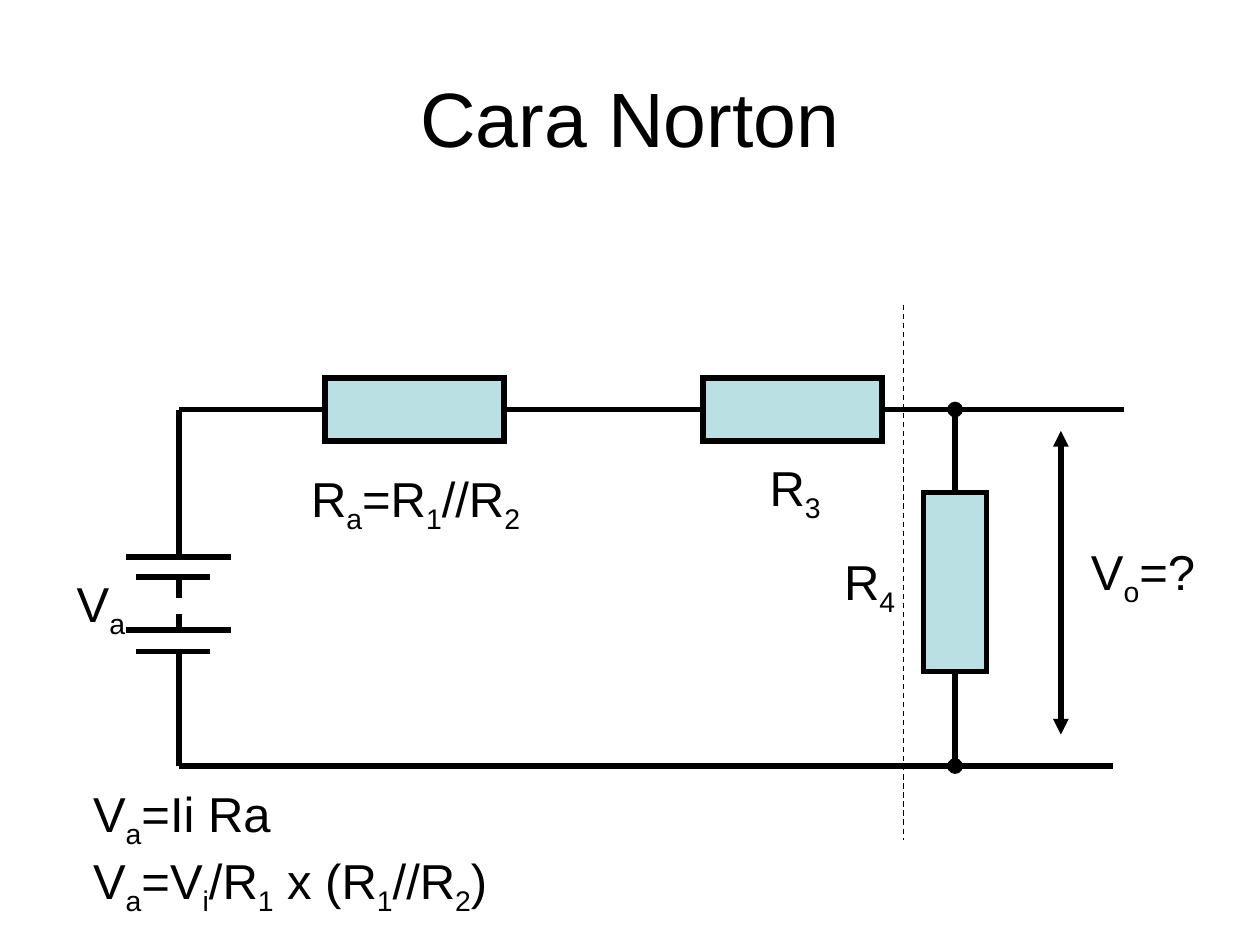
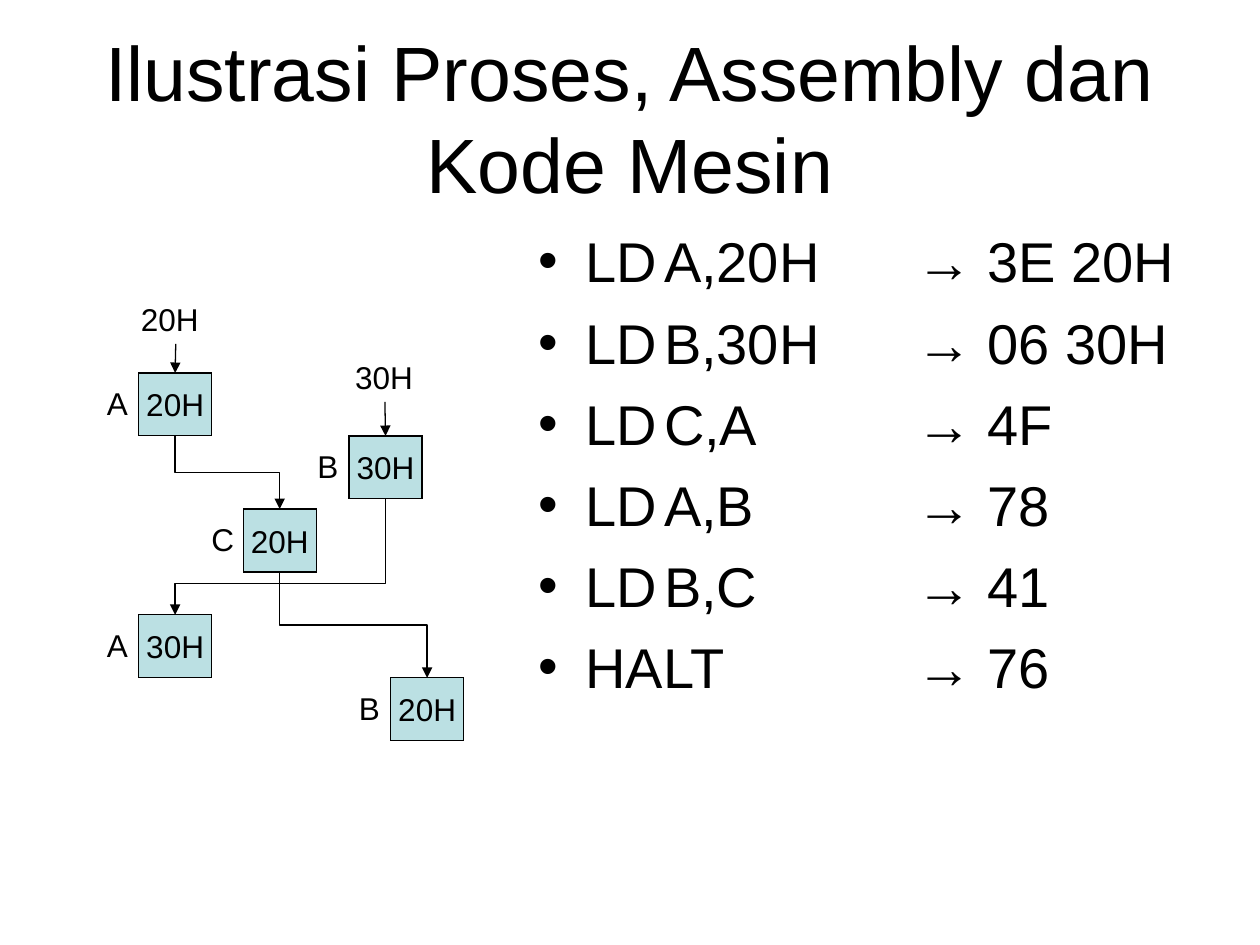
"""Build two slides: a Norton circuit and an assembly to machine code illustration."""
from lxml import etree
from pptx import Presentation
from pptx.dml.color import RGBColor
from pptx.enum.dml import MSO_LINE
from pptx.enum.shapes import MSO_CONNECTOR, MSO_SHAPE
from pptx.enum.text import MSO_ANCHOR, MSO_AUTO_SIZE, PP_ALIGN
from pptx.oxml.ns import qn
from pptx.util import Inches, Pt

BLACK = RGBColor(0x00, 0x00, 0x00)
PALE_TEAL = RGBColor(0xBB, 0xE0, 0xE3)
FONT = "Arial"
TITLE_AREA = (0.5, 0.3, 9, 1.25)
THICK, THIN = 3, 0.75
STRAIGHT, ELBOW = MSO_CONNECTOR.STRAIGHT, MSO_CONNECTOR.ELBOW
RECTANGLE = MSO_SHAPE.RECTANGLE
DASH = MSO_LINE.DASH
MIDDLE, CENTER = MSO_ANCHOR.MIDDLE, PP_ALIGN.CENTER
NO_FIT = MSO_AUTO_SIZE.NONE
TITLE_AND_CONTENT, TITLE_ONLY = 1, 5

CIRCUIT_TITLE = "Cara Norton"
SOURCE_X, LOAD_X = 1.42, 7.58
TOP_Y, BOTTOM_Y = 3.25, 6.08
PLATES_Y = (4.42, 4.58, 5, 5.17)
LONG_PLATE, SHORT_PLATE = (1, 1.83), (1.08, 1.67)
WIRES = [
    ((SOURCE_X, TOP_Y), (SOURCE_X, PLATES_Y[0])),
    ((SOURCE_X, PLATES_Y[-1]), (SOURCE_X, BOTTOM_Y)),
    ((SOURCE_X, BOTTOM_Y), (8.83, BOTTOM_Y)),
    ((SOURCE_X, TOP_Y), (2.58, TOP_Y)),
    ((4, TOP_Y), (5.58, TOP_Y)),
    ((7, TOP_Y), (8.92, TOP_Y)),
]
RESISTORS = [(2.58, 3, 1.42, 0.5), (5.58, 3, 1.42, 0.5), (7.33, 3.91, 0.5, 1.42)]
# An underscore makes the next character a subscript.
CIRCUIT_LABELS = [
    (["V_a"], (0.51, 4.5, 0.75, 0.63)),
    (["V_o=?"], (8.56, 4.25, 1.2, 0.63)),
    (["R_a=R_1//R_2"], (2.37, 3.67, 2.05, 0.63)),
    (["R_3"], (6.01, 3.58, 0.75, 0.63)),
    (["R_4"], (6.6, 4.33, 0.75, 0.63)),
    (["V_a=Ii Ra", "V_a=V_i/R_1 x (R_1//R_2)"], (0.64, 6.17, 3.5, 1.16)),
]

PROCESS_TITLE = "Ilustrasi Proses, Assembly dan Kode Mesin"
INSTRUCTIONS = [
    "LD\tA,20H\t→ 3E 20H",
    "LD\tB,30H\t→ 06 30H",
    "LD\tC,A\t\t→ 4F",
    "LD\tA,B\t\t→ 78",
    "LD\tB,C\t\t→ 41",
    "HALT\t\t→ 76",
]
INSTRUCTION_AREA = (4.17, 1.75, 5.33, 4.95)
REGISTER_WIDTH, REGISTER_HEIGHT = 0.58, 0.5
REGISTERS = {
    "first A": ("A", "20H", 1.1, 2.96),
    "first B": ("B", "30H", 2.77, 3.46),
    "C": ("C", "20H", 1.93, 4.04),
    "second A": ("A", "30H", 1.1, 4.88),
    "second B": ("B", "20H", 3.1, 5.38),
}
INPUTS = [
    ("20H", (1.02, 2.33, 0.75, 0.4), "first A"),
    ("30H", (2.72, 2.79, 0.67, 0.4), "first B"),
]
MOVES = [("first A", "C", 0.5), ("first B", "second A", 0.73), ("C", "second B", 0.5)]


def inches(values):
    return [Inches(value) for value in values]


def set_font(paragraph, size):
    paragraph.font.name = FONT
    paragraph.font.size = Pt(size)
    paragraph.font.color.rgb = BLACK


def add_slide(presentation, layout, title):
    slide = presentation.slides.add_slide(presentation.slide_layouts[layout])
    shape = slide.shapes.title
    shape.left, shape.top, shape.width, shape.height = inches(TITLE_AREA)
    frame = shape.text_frame
    frame.text = title
    frame.vertical_anchor = MIDDLE
    frame.auto_size = NO_FIT
    frame.paragraphs[0].alignment = CENTER
    set_font(frame.paragraphs[0], 44)
    return slide


def style_line(connector, width, dash=None, head=None, tail=None):
    line = connector.line
    line.width = Pt(width)
    line.color.rgb = BLACK
    if dash:
        line.dash_style = dash
    properties = connector.element.spPr
    outline = properties.find(qn("a:ln"))
    for tag, kind in (("a:headEnd", head), ("a:tailEnd", tail)):
        if kind:
            etree.SubElement(outline, qn(tag), type=kind)
    etree.SubElement(properties, qn("a:effectLst"))


def add_line(shapes, start, end, width, **style):
    connector = shapes.add_connector(STRAIGHT, *inches(start + end))
    style_line(connector, width, **style)


def add_elbow(shapes, start, end, bend):
    """Add an arrow that leaves downwards, turning at the given share of its drop."""
    (start_x, start_y), (end_x, end_y) = start, end
    center_x, center_y = (start_x + end_x) / 2, (start_y + end_y) / 2
    to_right = end_x > start_x
    reach = (end_y - start_y) / 2 * (1 if to_right else -1)
    rise = abs(end_x - start_x) / 2
    connector = shapes.add_connector(ELBOW, *inches((
        center_x + reach, center_y - rise, center_x - reach, center_y + rise)))
    properties = connector.element.spPr
    properties.find(qn("a:xfrm")).set("rot", str((270 if to_right else 90) * 60000))
    geometry = properties.find(qn("a:prstGeom"))
    adjustments = geometry.find(qn("a:avLst"))
    if adjustments is None:
        adjustments = etree.SubElement(geometry, qn("a:avLst"))
    etree.SubElement(adjustments, qn("a:gd"), name="adj1", fmla=f"val {round(bend * 100000)}")
    style_line(connector, THIN, tail="triangle")


def add_box(shapes, area, width):
    box = shapes.add_shape(RECTANGLE, *inches(area))
    box.shadow.inherit = False
    box.fill.solid()
    box.fill.fore_color.rgb = PALE_TEAL
    box.line.color.rgb = BLACK
    box.line.width = Pt(width)
    outline = box.element.spPr.find(qn("a:ln"))
    etree.SubElement(outline, qn("a:miter"), lim="800000")
    return box


def add_label(shapes, lines, area, size):
    frame = shapes.add_textbox(*inches(area)).text_frame
    frame.word_wrap = True
    frame.auto_size = NO_FIT
    for index, text in enumerate(lines):
        paragraph = frame.add_paragraph() if index else frame.paragraphs[0]
        plain, *pieces = text.split("_")
        paragraph.add_run().text = plain
        for piece in pieces:
            subscript = paragraph.add_run()
            subscript.text = piece[0]
            subscript.font._element.set("baseline", "-25000")
            if piece[1:]:
                paragraph.add_run().text = piece[1:]
        set_font(paragraph, size)


def build_circuit(presentation):
    shapes = add_slide(presentation, TITLE_ONLY, CIRCUIT_TITLE).shapes
    for start, end in WIRES:
        add_line(shapes, start, end, THICK)
    for index, y in enumerate(PLATES_Y):
        left, right = SHORT_PLATE if index % 2 else LONG_PLATE
        add_line(shapes, (left, y), (right, y), THICK)
    add_line(shapes, (SOURCE_X, PLATES_Y[1]), (SOURCE_X, PLATES_Y[2]), THICK, dash=DASH)
    add_line(shapes, (LOAD_X, TOP_Y), (LOAD_X, 3.92), THICK, head="oval")
    add_line(shapes, (LOAD_X, 5.33), (LOAD_X, BOTTOM_Y), THICK, tail="oval")
    add_line(shapes, (8.42, 5.83), (8.42, 3.42), THICK, head="triangle", tail="triangle")
    add_line(shapes, (7.17, 2.42), (7.17, 6.67), THIN, dash=DASH)
    for area in RESISTORS:
        add_box(shapes, area, THICK)
    for lines, area in CIRCUIT_LABELS:
        add_label(shapes, lines, area, 28)


def fill_instructions(body):
    body.left, body.top, body.width, body.height = inches(INSTRUCTION_AREA)
    frame = body.text_frame
    frame.auto_size = NO_FIT
    for index, text in enumerate(INSTRUCTIONS):
        paragraph = frame.add_paragraph() if index else frame.paragraphs[0]
        paragraph.text = text
        tabs = etree.SubElement(paragraph._p.get_or_add_pPr(), qn("a:tabLst"))
        for position in range(1, 4):
            etree.SubElement(tabs, qn("a:tab"), pos=str(Inches(position)), algn="l")
        paragraph.space_before = Pt(8 if index else 0)
        set_font(paragraph, 32)


def add_register(shapes, name, value, left, top):
    group = shapes.add_group_shape().shapes
    box = add_box(group, (left, top, REGISTER_WIDTH, REGISTER_HEIGHT), THIN)
    frame = box.text_frame
    frame.text = value
    frame.word_wrap = False
    frame.vertical_anchor = MIDDLE
    frame.paragraphs[0].alignment = CENTER
    set_font(frame.paragraphs[0], 18)
    add_label(group, [name], (left - 0.35, top + 0.04, 0.4, 0.4), 18)


def register_port(key, bottom=False):
    left, top = REGISTERS[key][2:]
    return left + REGISTER_WIDTH / 2, top + (REGISTER_HEIGHT if bottom else 0)


def build_process(presentation):
    slide = add_slide(presentation, TITLE_AND_CONTENT, PROCESS_TITLE)
    shapes = slide.shapes
    fill_instructions(slide.placeholders[1])
    for register in REGISTERS.values():
        add_register(shapes, *register)
    for value, area, target in INPUTS:
        left, top, width, height = area
        add_label(shapes, [value], area, 18)
        add_line(shapes, (left + width / 2, top + height), register_port(target),
                 THIN, tail="triangle")
    for source, target, bend in MOVES:
        add_elbow(shapes, register_port(source, bottom=True), register_port(target), bend)


def main():
    presentation = Presentation()
    presentation.slide_width, presentation.slide_height = inches((10, 7.5))
    build_circuit(presentation)
    build_process(presentation)
    presentation.save("out.pptx")


if __name__ == "__main__":
    main()
